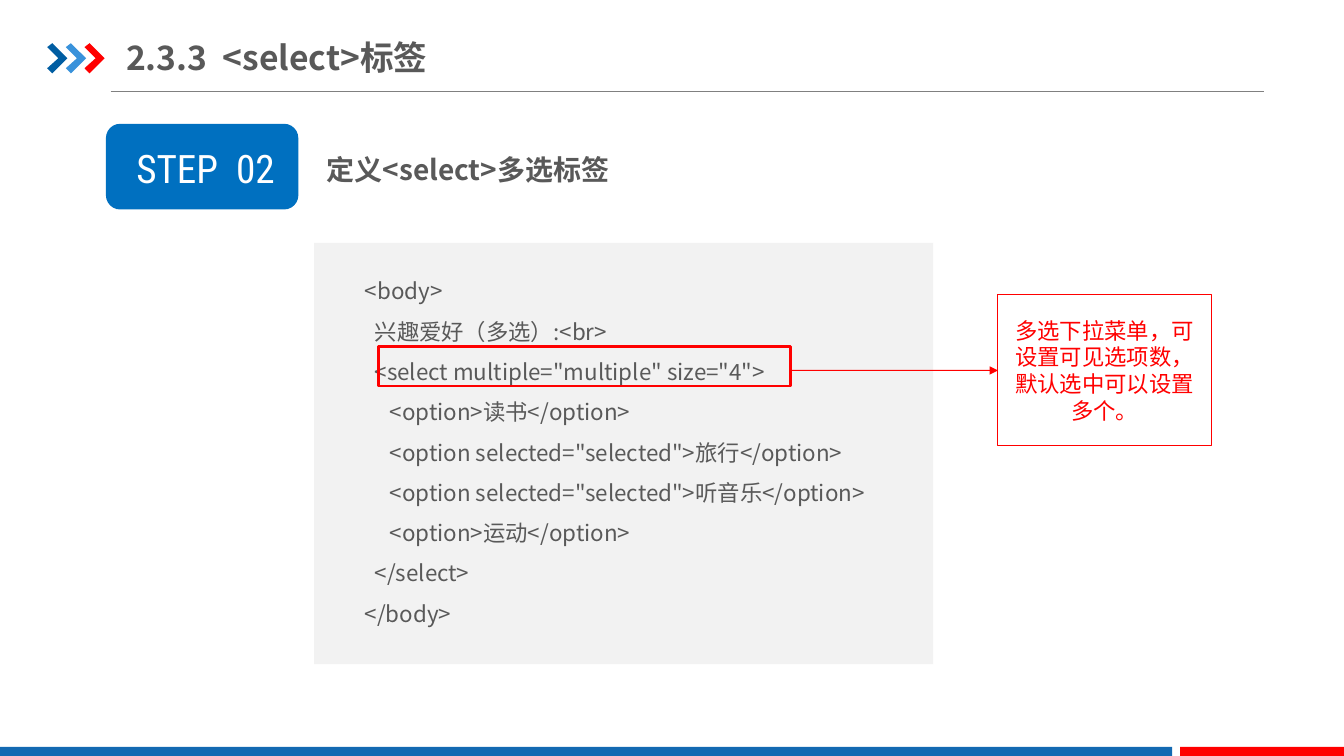
from collections import namedtuple

from lxml import etree
from pptx import Presentation
from pptx.dml.color import RGBColor
from pptx.enum.shapes import MSO_CONNECTOR, MSO_SHAPE
from pptx.enum.text import MSO_ANCHOR, MSO_AUTO_SIZE, PP_ALIGN
from pptx.oxml.ns import qn
from pptx.util import Cm, Pt

RECTANGLE = MSO_SHAPE.RECTANGLE
ROUNDED = MSO_SHAPE.ROUNDED_RECTANGLE
STRAIGHT = MSO_CONNECTOR.STRAIGHT
LEFT, CENTER = PP_ALIGN.LEFT, PP_ALIGN.CENTER
TOP, MIDDLE = MSO_ANCHOR.TOP, MSO_ANCHOR.MIDDLE
NO_AUTOFIT = MSO_AUTO_SIZE.NONE

WHITE = RGBColor(0xFF, 0xFF, 0xFF)
RED = RGBColor(0xFF, 0x00, 0x00)
NAVY = RGBColor(0x00, 0x5D, 0xA2)
SKY = RGBColor(0x39, 0x92, 0xDB)
FOOTER_BLUE = RGBColor(0x13, 0x69, 0xB2)
BADGE_BLUE = RGBColor(0x00, 0x70, 0xC0)
TEXT_GREY = RGBColor(0x59, 0x59, 0x59)
RULE_GREY = RGBColor(0x80, 0x80, 0x80)
PANEL_GREY = RGBColor(0xF2, 0xF2, 0xF2)

SANS = "Noto Sans CJK SC"
CONDENSED = "Roboto Condensed"

# Left, top, width and height in centimetres
Box = namedtuple("Box", "left top width height")

CHEVRON_OUTLINE = [(0, 0.13), (0.25, 0), (1, 0.5), (0.25, 1), (0, 0.83), (0.55, 0.5)]

# Indent in centimetres and text of each line
CODE_LINES = [
    (0, "<body>"),
    (0.25, "兴趣爱好（多选）:<br>"),
    (0.25, '<select multiple="multiple" size="4">'),
    (0.63, "<option>读书</option>"),
    (0.63, '<option selected="selected">旅行</option>'),
    (0.63, '<option selected="selected">听音乐</option>'),
    (0.63, "<option>运动</option>"),
    (0.25, "</select>"),
    (0, "</body>"),
]


def lengths(box):
    return [Cm(value) for value in box]


def place(shape, box):
    shape.left, shape.top, shape.width, shape.height = lengths(box)


def add_span(para, text, size, color, font=SANS, bold=False):
    span = para.add_run()
    span.text = text
    span.font.size = Pt(size)
    span.font.bold = bold
    span.font.name = font
    span.font.color.rgb = color
    east_asian = etree.SubElement(span.font._element, qn("a:ea"))
    east_asian.set("typeface", font)


def set_up_frame(shape, anchor=TOP):
    frame = shape.text_frame
    frame.word_wrap = True
    frame.auto_size = NO_AUTOFIT
    frame.vertical_anchor = anchor
    return frame


def add_block(page, box, fill=None, line=None, line_width=0.75, kind=RECTANGLE):
    block = page.shapes.add_shape(kind, *lengths(box))
    block.shadow.inherit = False
    if fill is None:
        block.fill.background()
    else:
        block.fill.solid()
        block.fill.fore_color.rgb = fill
    if line is None:
        block.line.fill.background()
    else:
        block.line.color.rgb = line
        block.line.width = Pt(line_width)
    return block


def add_line(page, start, end, color):
    ends = [Cm(value) for value in (*start, *end)]
    line = page.shapes.add_connector(STRAIGHT, *ends)
    line.line.color.rgb = color
    line.line.width = Pt(0.75)
    etree.SubElement(line._element.spPr, qn("a:effectLst"))
    return line


def add_chevrons(page, box, pitch):
    """Draw the first chevron in the box and the others one pitch further right."""
    for index, color in enumerate((NAVY, SKY, RED)):
        left = box.left + index * pitch
        points = [(Cm(left + x * box.width), Cm(box.top + y * box.height))
                  for x, y in CHEVRON_OUTLINE]
        builder = page.shapes.build_freeform(*points[0])
        builder.add_line_segments(points[1:], close=True)
        chevron = builder.convert_to_shape()
        chevron.shadow.inherit = False
        chevron.fill.solid()
        chevron.fill.fore_color.rgb = color
        chevron.line.fill.background()


def add_header(page, box):
    right, bottom = box.left + box.width, box.top + box.height
    add_line(page, (box.left + 1.6, bottom), (right, bottom), RULE_GREY)
    add_chevrons(page, Box(box.left, box.top + 0.35, 0.51, 0.76), 0.47)
    title = page.shapes.title
    place(title, Box(box.left + 1.99, box.top, 10.82, 1.4))
    frame = set_up_frame(title, MIDDLE)
    frame.margin_left = frame.margin_right = 0
    para = frame.paragraphs[0]
    para.alignment = LEFT
    add_span(para, "2.3.3  <select>标签", 24, TEXT_GREY, bold=True)


def add_footer(page, box):
    red_width, gap = 4.13, 0.2
    blue_width = box.width - red_width - gap
    add_block(page, box._replace(width=blue_width), FOOTER_BLUE)
    add_block(page, box._replace(left=blue_width + gap, width=red_width), RED)


def add_step(page, box):
    add_block(page, box._replace(width=4.85), BADGE_BLUE, kind=ROUNDED)
    label = page.shapes.add_textbox(
        *lengths(Box(box.left + 0.25, box.top + 0.39, 4.52, 1.45)))
    para = set_up_frame(label).paragraphs[0]
    para.alignment = CENTER
    add_span(para, "STEP  02", 28, WHITE, CONDENSED)

    heading = page.shapes.add_textbox(
        *lengths(Box(box.left + 5.31, box.top + 0.18, box.width - 5.31, 1.4)))
    para = set_up_frame(heading).paragraphs[0]
    para.line_spacing = 1.5
    add_span(para, "定义<select>多选标签", 20, TEXT_GREY, bold=True)


def add_code(page, box):
    add_block(page, box, PANEL_GREY)
    code = page.placeholders[1]
    place(code, Box(box.left + 1.02, box.top + 0.41, 18.11, 9.5))
    page.shapes.element.append(code.element)  # in front of the panel
    frame = set_up_frame(code)
    for index, (indent, text) in enumerate(CODE_LINES):
        para = frame.add_paragraph() if index else frame.paragraphs[0]
        para.alignment = LEFT
        para.line_spacing = 1.5
        para.space_before = Pt(0)
        properties = para._p.get_or_add_pPr()
        properties.set("marL", str(Cm(indent)))
        properties.set("indent", "0")
        etree.SubElement(properties, qn("a:buNone"))
        add_span(para, text, 16, TEXT_GREY)
    add_block(page, Box(box.left + 1.61, box.top + 2.62, 10.4, 0.99),
              line=RED, line_width=2)


def add_note(page, box, arrow_start):
    """Place the note and an arrow that runs to it from the given x position."""
    note = add_block(page, box, line=RED)
    para = set_up_frame(note, MIDDLE).paragraphs[0]
    para.alignment = CENTER
    add_span(para, "多选下拉菜单，可设置可见选项数，默认选中可以设置多个。", 16, RED)

    middle = box.top + box.height / 2
    arrow = add_line(page, (arrow_start, middle), (box.left, middle), RED)
    arrow.end_connect(note, 1)
    head = etree.SubElement(arrow.line._get_or_add_ln(), qn("a:tailEnd"))
    head.set("type", "triangle")


def main():
    deck = Presentation()
    deck.slide_width, deck.slide_height = Cm(33.87), Cm(19.05)
    page = deck.slides.add_slide(deck.slide_layouts[1])
    add_header(page, Box(1.19, 0.74, 30.66, 1.57))
    add_footer(page, Box(0, 18.82, 33.87, 0.23))
    add_step(page, Box(2.67, 3.12, 25.35, 2.16))
    add_code(page, Box(7.92, 6.12, 15.6, 10.62))
    add_note(page, Box(25.15, 7.43, 5.38, 3.81), 19.93)
    deck.save("out.pptx")


if __name__ == "__main__":
    main()
